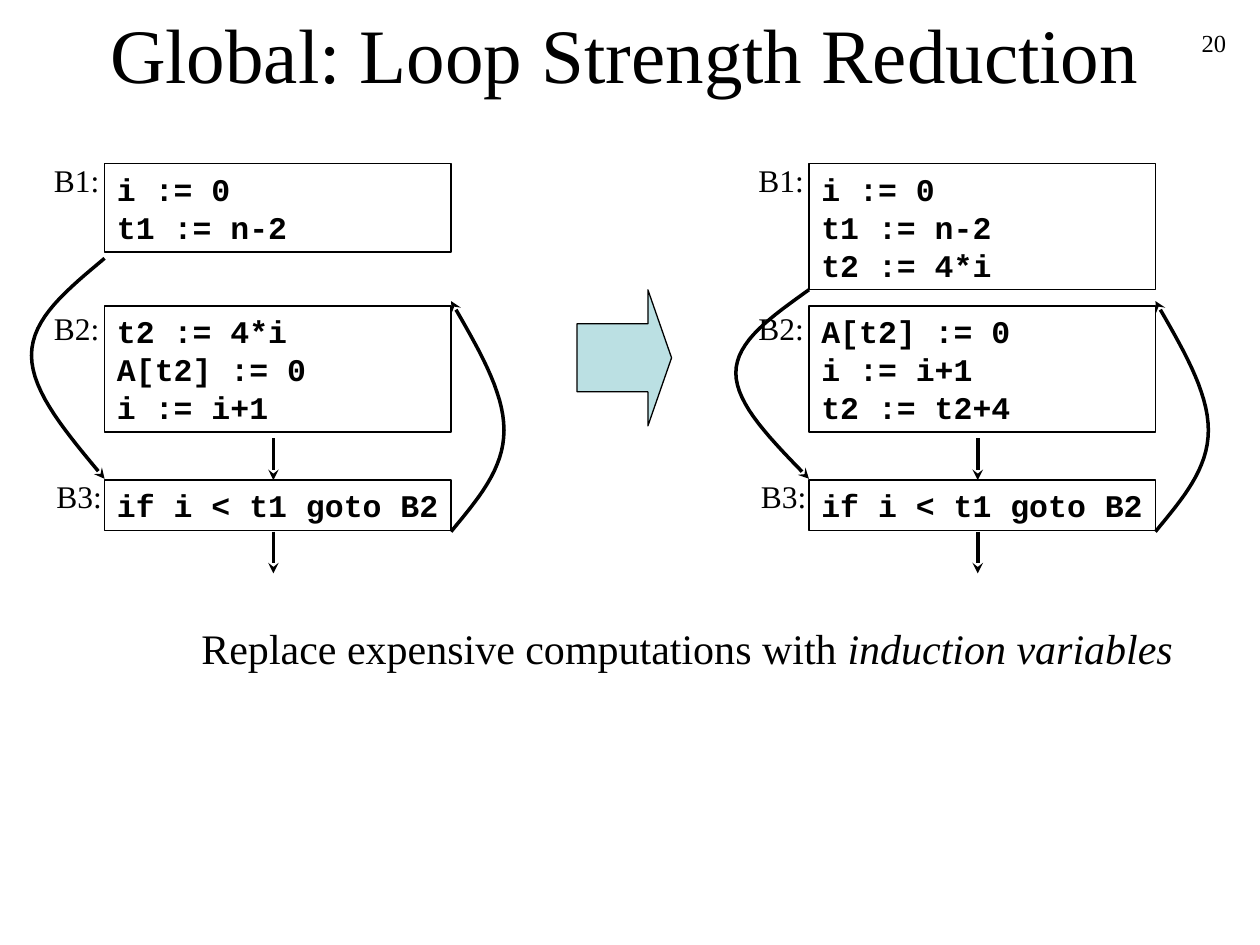
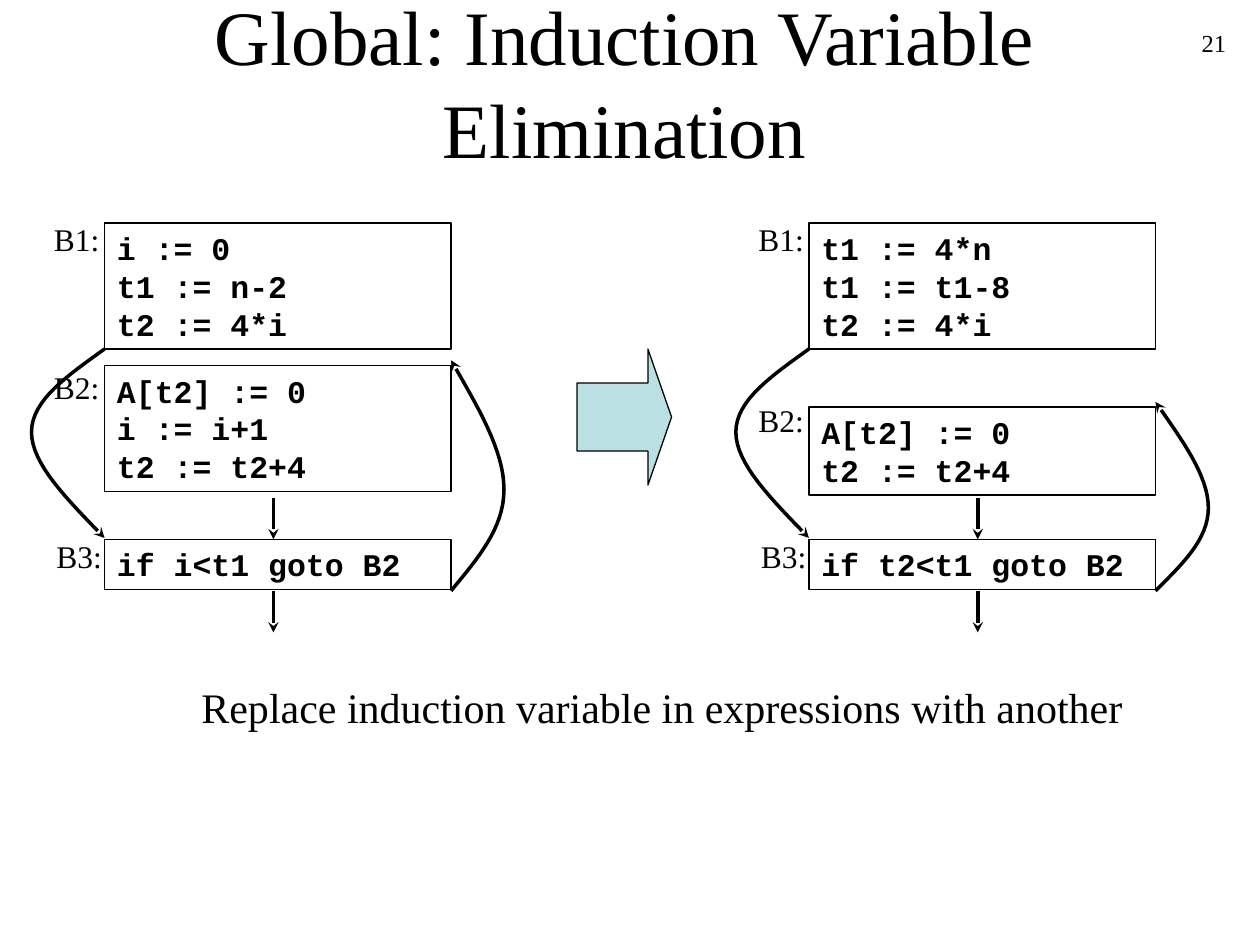
from pptx import Presentation
from pptx.dml.color import RGBColor
from pptx.enum.shapes import MSO_CONNECTOR, MSO_SHAPE
from pptx.enum.text import MSO_ANCHOR, PP_ALIGN
from pptx.oxml.ns import qn
from pptx.util import Inches, Pt

SLIDES = [
    dict(
        number="20", title="Global: Loop Strength Reduction", title_box=(0, 0.84), top=1.3,
        before=["i := 0\nt1 := n-2", "t2 := 4*i\nA[t2] := 0\ni := i+1", "if i < t1 goto B2"],
        after=["i := 0\nt1 := n-2\nt2 := 4*i", "A[t2] := 0\ni := i+1\nt2 := t2+4", "if i < t1 goto B2"],
        caption="Replace expensive computations with ", emphasis="induction variables",
    ),
    dict(
        number="21", title="Global: Induction Variable Elimination", title_box=(0.02, 1.25), top=1.77,
        before=["i := 0\nt1 := n-2\nt2 := 4*i", "A[t2] := 0\ni := i+1\nt2 := t2+4", "if i<t1 goto B2"],
        after=["t1 := 4*n\nt1 := t1-8\nt2 := 4*i", "A[t2] := 0\nt2 := t2+4", "if t2<t1 goto B2"],
        caption="Replace induction variable in expressions with another", emphasis="",
    ),
]

BLACK = RGBColor(0x00, 0x00, 0x00)
PALE_TEAL = RGBColor(0xBB, 0xE0, 0xE3)
SERIF, MONO = "Times New Roman", "Courier New"
LEFT, CENTER, RIGHT = PP_ALIGN.LEFT, PP_ALIGN.CENTER, PP_ALIGN.RIGHT
TOP, MIDDLE = MSO_ANCHOR.TOP, MSO_ANCHOR.MIDDLE
RECTANGLE, RIGHT_ARROW = MSO_SHAPE.RECTANGLE, MSO_SHAPE.RIGHT_ARROW
STRAIGHT = MSO_CONNECTOR.STRAIGHT

BEFORE_LEFT, AFTER_LEFT = 0.83, 6.42
BLOCK_WIDTH = 2.75
TEST_TOP, TEST_BOTTOM = 2.51, 2.92
BODY_PLACES = {2: (1.46, 1.36), 3: (1.13, 1.1)}
DOWN_ARROWS = [(2.18, TEST_TOP), (TEST_BOTTOM, 3.25)]
BEND = [[(0, 0), (0.5, 0.14), (1, 0.27), (1, 0.44)],
        [(1, 0.44), (1, 0.61), (0.5, 0.8), (0, 1)]]
BEND_STEPS = 16


def write(shape, text, size=18, font=SERIF, bold=False, align=LEFT, anchor=TOP, wrap=True, emphasis=""):
    frame = shape.text_frame
    frame.word_wrap = wrap
    frame.vertical_anchor = anchor
    paragraph = frame.paragraphs[0]
    paragraph.text = text
    paragraph.alignment = align
    if emphasis:
        run = paragraph.add_run()
        run.text = emphasis
        run.font.italic = True
    for run in paragraph.runs:
        run.font.name = font
        run.font.size = Pt(size)
        run.font.bold = bold
        run.font.color.rgb = BLACK


def add_text(slide, text, left, top, width, height, **text_format):
    box = slide.shapes.add_textbox(Inches(left), Inches(top), Inches(width), Inches(height))
    write(box, text, **text_format)


def add_outlined(slide, kind, left, top, width, height):
    shape = slide.shapes.add_shape(kind, Inches(left), Inches(top), Inches(width), Inches(height))
    shape.shadow.inherit = False
    shape.fill.background()
    shape.line.color.rgb = BLACK
    shape.line.width = Pt(0.75)
    return shape


def style_arrow(arrow):
    arrow.line.color.rgb = BLACK
    arrow.line.width = Pt(2)
    outline = arrow.line._get_or_add_ln()
    outline.append(outline.makeelement(qn("a:tailEnd"), {"type": "stealth"}))


def add_down_arrow(slide, x, start, end):
    arrow = slide.shapes.add_connector(STRAIGHT, Inches(x), Inches(start), Inches(x), Inches(end))
    style_arrow(arrow)
    properties = arrow._element.spPr
    properties.append(properties.makeelement(qn("a:effectLst"), {}))


def bezier(controls, t):
    weights = ((1 - t) ** 3, 3 * t * (1 - t) ** 2, 3 * t * t * (1 - t), t ** 3)
    return [sum(w * point[axis] for w, point in zip(weights, controls)) for axis in (0, 1)]


def add_jump(slide, x, start, end, reach):
    bends = [bezier(controls, step / BEND_STEPS) for controls in BEND for step in range(1, BEND_STEPS + 1)]
    points = [(Inches(x + reach * across), Inches(start + (end - start) * along)) for across, along in bends]
    builder = slide.shapes.build_freeform(Inches(x), Inches(start))
    builder.add_line_segments(points, close=False)
    jump = builder.convert_to_shape()
    jump.shadow.inherit = False
    jump.fill.background()
    style_arrow(jump)


def add_flow(slide, left, top, blocks):
    entry_lines, body_lines, _ = [len(code.split("\n")) for code in blocks]
    body_top, body_label = BODY_PLACES[body_lines]
    block_tops = (0, body_top, TEST_TOP)
    for code, offset in zip(blocks, block_tops):
        height = 0.1 + 0.3 * len(code.split("\n"))
        block = add_outlined(slide, RECTANGLE, left, top + offset, BLOCK_WIDTH, height)
        write(block, code, font=MONO, bold=True)
    add_jump(slide, left, top + 0.25 * (entry_lines + 1), top + 2.5, -0.58)
    add_jump(slide, left + BLOCK_WIDTH, top + TEST_BOTTOM, top + body_top - 0.04, 0.42)
    for start, end in DOWN_ARROWS:
        add_down_arrow(slide, left + 1.34, top + start, top + end)
    for label, shift, offset in (("B1:", 0.5, -0.07), ("B2:", 0.5, body_label), ("B3:", 0.48, 2.44)):
        add_text(slide, label, left - shift, top + offset, 0.56, 0.4, wrap=False)


def build_slide(presentation, content):
    slide = presentation.slides.add_slide(presentation.slide_layouts[6])
    top = content["top"]
    title_top, title_height = content["title_box"]
    add_text(slide, content["number"], 7.75, 0.17, 2.08, 0.5, size=14, align=RIGHT)
    add_text(slide, content["title"], 0.71, title_top, 8.5, title_height, size=44, align=CENTER, anchor=MIDDLE)
    add_flow(slide, BEFORE_LEFT, top, content["before"])
    add_flow(slide, AFTER_LEFT, top, content["after"])
    arrow = add_outlined(slide, RIGHT_ARROW, 4.58, top + 1, 0.75, 1.08)
    arrow.adjustments[0], arrow.adjustments[1] = 0.5, 0.25
    arrow.fill.solid()
    arrow.fill.fore_color.rgb = PALE_TEAL
    add_text(slide, content["caption"], 1.5, top + 3.59, 7.91, 0.5, size=24, wrap=False,
             emphasis=content["emphasis"])


def main():
    presentation = Presentation()
    presentation.slide_width, presentation.slide_height = Inches(10), Inches(7.5)
    for content in SLIDES:
        build_slide(presentation, content)
    presentation.save("out.pptx")


if __name__ == "__main__":
    main()
